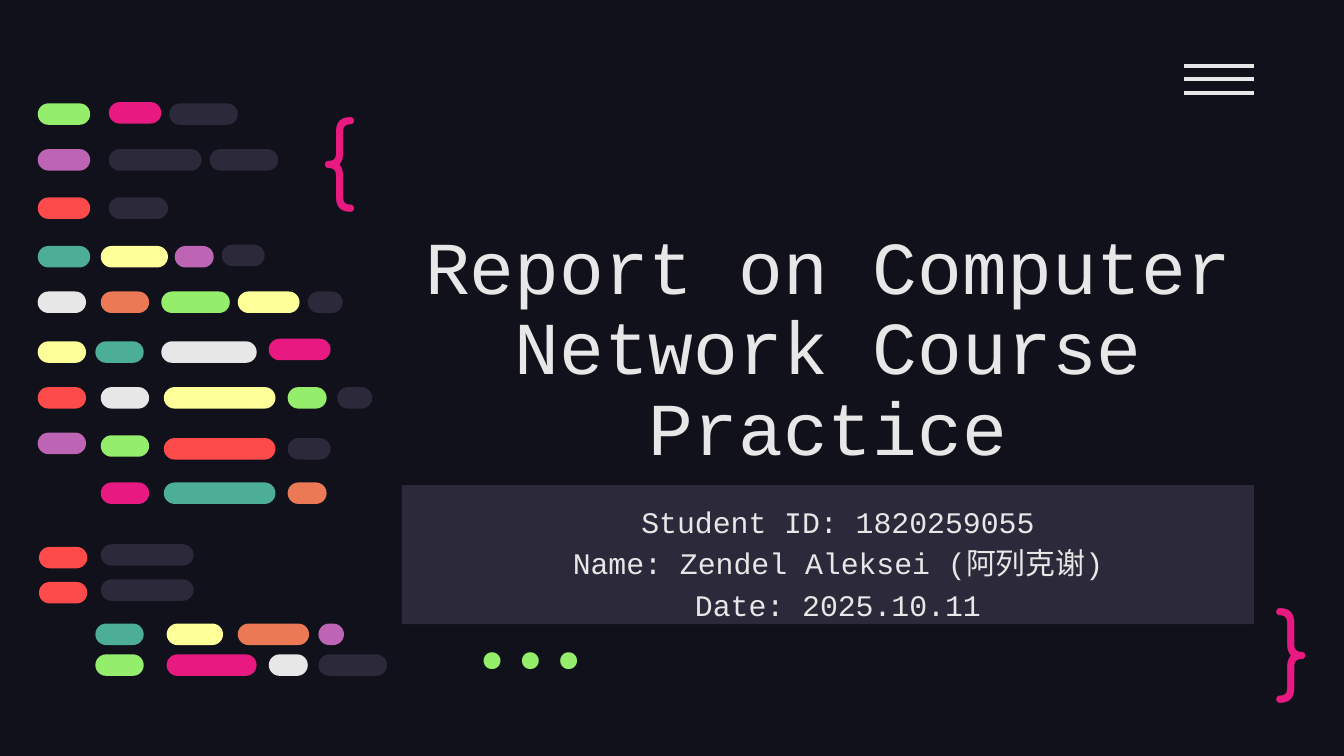
import pptx
import pptx.util
import pptx.dml.color
import pptx.enum.shapes
import pptx.enum.text
import pptx.oxml.ns
from lxml import etree

Pt = pptx.util.Pt
RGB = pptx.dml.color.RGBColor
SHAPE = pptx.enum.shapes.MSO_SHAPE
ANCHOR = pptx.enum.text.MSO_ANCHOR
ALIGN = pptx.enum.text.PP_ALIGN

NIGHT = RGB(0x10, 0x11, 0x1A)
SLATE = RGB(0x2C, 0x29, 0x3A)
WHITE = RGB(0xE7, 0xE7, 0xE7)
GREEN = RGB(0x94, 0xEE, 0x6B)
PINK = RGB(0xE8, 0x1A, 0x81)
PURPLE = RGB(0xBD, 0x64, 0xB5)
RED = RGB(0xFD, 0x4A, 0x4A)
TEAL = RGB(0x4C, 0xAE, 0x97)
YELLOW = RGB(0xFF, 0xFF, 0x99)
ORANGE = RGB(0xEC, 0x79, 0x55)

TITLE = ["Report on Computer Network Course Practice"]
DETAILS = [
    "Student ID: 1820259055",
    "Name: Zendel Aleksei (阿列克谢)",
    "Date: 2025.10.11",
]

PILL_H = 11.5
CODE_ROWS = [
    (55.4, [(20.2, 28.1, GREEN), (58.3, 28.1, PINK, -0.7), (90.7, 36.7, SLATE)]),
    (79.9, [(20.2, 28.1, PURPLE), (58.3, 49.7, SLATE), (112.3, 36.7, SLATE)]),
    (105.8, [(20.2, 28.1, RED), (58.3, 31.7, SLATE)]),
    (131.8, [(20.2, 28.1, TEAL), (54, 36, YELLOW), (93.6, 20.9, PURPLE),
             (118.8, 23, SLATE, -0.7)]),
    (156.2, [(20.2, 25.9, WHITE), (54, 25.9, ORANGE), (86.4, 36.7, GREEN),
             (127.4, 33.1, YELLOW), (164.9, 18.7, SLATE)]),
    (182.9, [(20.2, 25.9, YELLOW), (51.1, 25.9, TEAL), (86.4, 51.1, WHITE),
             (144, 33.1, PINK, -1.4)]),
    (207.4, [(20.2, 25.9, RED), (54, 25.9, WHITE), (87.8, 59.8, YELLOW),
             (154.1, 20.9, GREEN), (180.7, 18.7, SLATE)]),
    (231.8, [(20.2, 25.9, PURPLE), (54, 25.9, GREEN, 1.4), (87.8, 59.8, RED, 2.9),
             (154.1, 23, SLATE, 2.9)]),
    (258.5, [(54, 25.9, PINK), (87.8, 59.8, TEAL), (154.1, 20.9, ORANGE)]),
    (293, [(20.9, 25.9, RED), (54, 49.7, SLATE, -1.4)]),
    (311.8, [(20.9, 25.9, RED), (54, 49.7, SLATE, -1.4)]),
    (334.1, [(51.1, 25.9, TEAL), (89.3, 30.2, YELLOW), (127.4, 38.2, ORANGE),
             (170.6, 13.7, PURPLE)]),
    (350.6, [(51.1, 25.9, GREEN), (89.3, 48.2, PINK), (144, 20.9, WHITE),
             (170.6, 36.7, SLATE)]),
]

MENU_LEFT, MENU_RIGHT, MENU_TOP, MENU_GAP, MENU_LINES = 634.3, 671.8, 35.3, 7.2, 3


def add_shape(s, kind, box, color):
    sp = s.shapes.add_shape(kind, *map(Pt, box))
    sp.shadow.inherit = False
    sp.fill.solid()
    sp.fill.fore_color.rgb = color
    sp.line.fill.background()
    return sp


def write(sp, lines, font, size, color, anchor=ANCHOR.TOP, align=ALIGN.LEFT,
          spacing=1.0, hanging=False):
    tf = sp.text_frame
    tf.word_wrap = True
    tf.vertical_anchor = anchor
    tf.margin_left = tf.margin_right = tf.margin_top = tf.margin_bottom = Pt(7.2)
    for i, line in enumerate(lines):
        p = tf.add_paragraph() if i else tf.paragraphs[0]
        p.alignment = align
        p.line_spacing = spacing
        if hanging:
            pPr = p._p.get_or_add_pPr()
            pPr.set("marL", str(Pt(36)))
            pPr.set("indent", str(Pt(-25.2)))
        r = p.add_run()
        r.text = line
        r.font.name = font
        r.font.size = Pt(size)
        r.font.color.rgb = color


def add_text(s, box, *args, **kwargs):
    write(s.shapes.add_textbox(*map(Pt, box)), *args, **kwargs)


def add_line(s, x1, x2, y):
    cx = s.shapes.add_connector(pptx.enum.shapes.MSO_CONNECTOR.STRAIGHT,
                                Pt(x1), Pt(y), Pt(x2), Pt(y))
    cx.line.color.rgb = WHITE
    cx.line.width = Pt(2.25)
    etree.SubElement(cx._element.spPr, pptx.oxml.ns.qn("a:effectLst"))


def main():
    prs = pptx.Presentation()
    prs.slide_width, prs.slide_height = Pt(720), Pt(405)
    s = prs.slides.add_slide(prs.slide_layouts[6])
    s.background.fill.solid()
    s.background.fill.fore_color.rgb = NIGHT

    add_text(s, (215.3, 99.4, 456.5, 160.5), TITLE, "Courier New", 40, WHITE,
             anchor=ANCHOR.BOTTOM, align=ALIGN.CENTER, spacing=0.9)
    panel = add_shape(s, SHAPE.RECTANGLE, (215.3, 259.9, 456.5, 74.5), SLATE)
    write(panel, DETAILS, "Courier New", 16, WHITE, align=ALIGN.CENTER,
          spacing=1.15, hanging=True)
    add_text(s, (164.9, 44.6, 55.4, 68.4), ["{"], "Comfortaa", 50, PINK)
    add_text(s, (676.1, 315.4, 41, 59.8), ["}"], "Comfortaa", 50, PINK,
             anchor=ANCHOR.MIDDLE)
    add_text(s, (223.9, 331.9, 113.8, 43.2), ["..."], "Fira Code", 50, GREEN,
             anchor=ANCHOR.BOTTOM, align=ALIGN.RIGHT)

    for i in range(MENU_LINES):
        add_line(s, MENU_LEFT, MENU_RIGHT, MENU_TOP + i * MENU_GAP)

    for top, pills in CODE_ROWS:
        for left, width, color, *shift in pills:
            pill = add_shape(s, SHAPE.ROUNDED_RECTANGLE,
                             (left, top + sum(shift), width, PILL_H), color)
            pill.adjustments[0] = 0.5

    prs.save("out.pptx")


if __name__ == "__main__":
    main()
